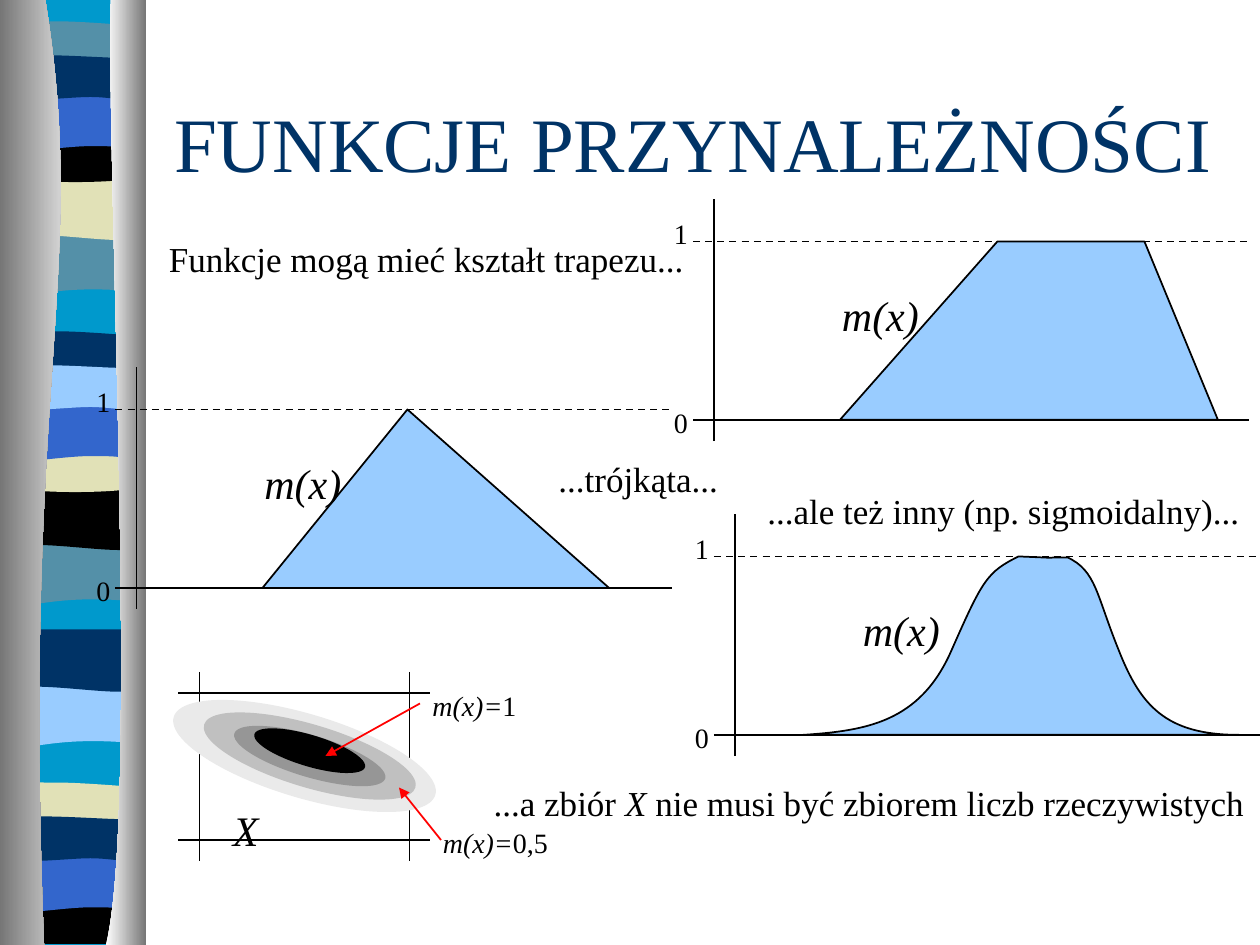
import pptx
import pptx.util
import pptx.dml.color
import pptx.enum.dml
import pptx.enum.shapes
import pptx.enum.text
import pptx.oxml
import pptx.oxml.ns

COLUMNS, ROWS = 60, 45
FONT = "Times New Roman"
COLOURS = {
    "black": "000000", "white": "FFFFFF", "navy": "003366", "blue": "3366CC",
    "sky": "99CCFF", "cyan": "0099CC", "teal": "5490A8", "sand": "E1E1B7",
    "red": "FF0000", "shade": "767676",
    "outer": "EAEAEA", "middle": "C0C0C0", "inner": "969696",
}
EDGE = 6.48
TIDE = [(EDGE, 0), (EDGE, 2.82), (1.98, 2.34, 1.08, 3.3, 0, 2.82), (0, 0)]
SWELL = [(EDGE, 0), (EDGE, 2.82), (5.4, 3.3, 1.98, 2.46, 0, 2.82), (0, 0)]
PLATE = [(EDGE, 0.3), (EDGE, 1.74), (5.4, 1.98, 1.08, 1.98, 0, 1.74), (0, 0.3),
         (0.36, 0, 1.38, 0.06, 2.46, 0.06), (3.54, 0.06, 5.64, 0.24, EDGE, 0.3)]
CAP = [(EDGE, 0), (EDGE, 1.92), (5.4, 2.28, 1.08, 2.28, 0, 1.92), (0, 0),
       (3.96, 0.3, 5.1, 0, EDGE, 0)]
FOOT = [(EDGE, 0), (EDGE, 2.22), (0, 2.22), (0, 0), (3.96, 0.3, 5.1, 0, EDGE, 0)]
SLAB = [(EDGE, 0), (EDGE, 2.82), (5.46, 2.52, 5.04, 2.52, 3.96, 2.52),
        (2.88, 2.52, 0.96, 2.82, 0, 2.82), (0, 0)]
STRIP = [(EDGE, 0.3), (EDGE, 2.16), (6.06, 2.46, 5.04, 2.16, 3.96, 2.16),
         (2.88, 2.16, 0.66, 2.46, 0, 2.16), (0, 0.3),
         (0.9, 0, 4.38, 0.3, 5.46, 0.3), (6.54, 0.3, 6.3, 0.3, EDGE, 0.3)]
WAVES = [(TIDE, 11.1), (SWELL, 8.46)]
STONES = [(PLATE, 0.96), (CAP, 6.48), (SLAB, 4.44), (STRIP, 2.46)]
LAST_STONES = [(PLATE, 0.96), (FOOT, 6.48), (SLAB, 4.44), (STRIP, 2.46)]
BLOCKS = [
    (0, WAVES, ("teal", "sand")),
    (0, STONES, ("teal", "black", "blue", "navy")),
    (14.76, WAVES, ("teal", "black")),
    (14.76, STONES, ("navy", "sand", "blue", "sky")),
    (21.51, WAVES, ("sky", "navy")),
    (36.25, LAST_STONES, ("sand", "black", "blue", "navy")),
]
TRAPEZOID = [(7, 0), (14.5, 8.5), (21.5, 8.5), (25, 0)]
TRIANGLE = [(7, 0), (13.9, 8.5), (23.5, 0)]
SIGMOID = [
    (4.25, 0), (7.25, 0.2, 9.8, 0.6, 11.3, 4), (12.8, 7.4, 13, 7.75, 14.5, 8.5),
    (16.95, 8.4, 15.2, 8.45, 16.85, 8.45), (18.2, 7.8, 18.2, 6.7, 19.25, 4.1),
    (20.3, 1.4, 21.5, 0, 25, 0),
]

deck = pptx.Presentation()
deck.slide_width = pptx.util.Inches(10)
deck.slide_height = pptx.util.Inches(7.5)
slide = deck.slides.add_slide(deck.slide_layouts[6])


def cells(*counts):
    return [round(count * deck.slide_width / COLUMNS) for count in counts]


def colour(name):
    return pptx.dml.color.RGBColor.from_string(COLOURS[name])


def paint(area, fill, line=None):
    area.shadow.inherit = False
    area.fill.solid()
    area.fill.fore_color.rgb = colour(fill)
    if line:
        area.line.color.rgb = colour(line)
        area.line.width = pptx.util.Pt(1)
    else:
        area.line.fill.background()


def bend(area, path):
    segments = iter(area._element.findall(".//" + pptx.oxml.ns.qn("a:lnTo")))
    for step in path[1:]:
        first = next(segments)
        if len(step) == 6:
            curve = pptx.oxml.parse_xml(
                "<a:cubicBezTo %s/>" % pptx.oxml.ns.nsdecls("a"))
            first.addprevious(curve)
            for segment in (first, next(segments), next(segments)):
                curve.append(segment[0])
                segment.getparent().remove(segment)


def outline(path, left, top, fill, line=None, flip=1):
    points = [tuple(cells(left + step[i], top + flip * step[i + 1]))
              for step in path for i in range(0, len(step), 2)]
    builder = slide.shapes.build_freeform(*points[0], scale=1.0)
    builder.add_line_segments(points[1:], close=True)
    area = builder.convert_to_shape()
    bend(area, path)
    paint(area, fill, line)
    return area


def stroke(x1, y1, x2, y2, name="black", dashed=False, arrow=False):
    line = slide.shapes.add_connector(
        pptx.enum.shapes.MSO_CONNECTOR.STRAIGHT, *cells(x1, y1, x2, y2))
    line.line.color.rgb = colour(name)
    line.line.width = pptx.util.Pt(1)
    if dashed:
        line.line.dash_style = pptx.enum.dml.MSO_LINE.DASH
    if arrow:
        line.line._get_or_add_ln().append(pptx.oxml.parse_xml(
            '<a:tailEnd %s type="triangle"/>' % pptx.oxml.ns.nsdecls("a")))
    line._element.spPr.append(pptx.oxml.parse_xml(
        "<a:effectLst %s/>" % pptx.oxml.ns.nsdecls("a")))


def write(left, top, width, height, parts, size, name="black", wrap=False):
    label = slide.shapes.add_textbox(*cells(left, top, width, height))
    frame = label.text_frame
    frame.word_wrap = wrap
    if not wrap:
        frame.auto_size = pptx.enum.text.MSO_AUTO_SIZE.SHAPE_TO_FIT_TEXT
    for words, italic in parts:
        run = frame.paragraphs[0].add_run()
        run.text = words
        run.font.name = FONT
        run.font.size = pptx.util.Pt(size)
        run.font.italic = italic
        run.font.color.rgb = colour(name)
    return frame


def polish(panel, first, last):
    panel.fill.gradient()
    panel.fill.gradient_angle = 0
    for stop, name in zip(panel.fill.gradient_stops, (first, last)):
        stop.color.rgb = colour(name)


def draw_ribbon(left, top, width, height):
    inset = left + 0.05 * width
    outline([(EDGE, 0), (EDGE, height), (0, height), (0, 0)], inset, top, "cyan")
    for offset, motif, names in BLOCKS:
        for (path, row), name in zip(motif, names):
            outline(path, inset, top + offset + row, name)
    left_panel = outline([(2.16, 0), (4.26, 13, 1.02, 17.8, 2.1, height),
                          (0, height), (0, 0)], left, top, "shade")
    polish(left_panel, "shade", "white")
    right_panel = outline([(5.28, 0), (5.04, 7.5, 6.66, 38.8, 5.04, height),
                           (width, height), (width, 0)], left, top, "white")
    polish(right_panel, "white", "shade")


def draw_membership(left, base, width, height, curve):
    stroke(left, base, left + width, base)
    stroke(left + 1, base + 1, left + 1, base - height - 2)
    stroke(left, base - height, left + width, base - height, dashed=True)
    outline(curve, left, base, "sky", "black", flip=-1)
    for level, top in (("1", base - height - 1.5), ("0", base - 1)):
        write(left - 1.5, top, 1.86, 2.2, [(level, False)], 16)
    write(left + 6.5, base - 6.5, 4.86, 3, [("m(x)", True)], 24)


def draw_fuzzy_set(left, top, width, height):
    backdrop = slide.shapes.add_shape(
        pptx.enum.shapes.MSO_SHAPE.RECTANGLE, *cells(left, top, width, height))
    paint(backdrop, "white")
    for x in (left + 2, left + 12):
        stroke(x, top + 0.5, x, top + height - 0.5)
    for y in (top + 1.5, top + height - 1.5):
        stroke(left + 1, y, left + width - 1, y)
    for x, y, across, down, name in (
            (0.5, 2.5, 13, 4, "outer"), (2, 3, 10.5, 3, "middle"),
            (3.5, 3.5, 7.5, 2, "inner"), (4.5, 3.5, 5.5, 1.5, "black")):
        ring = slide.shapes.add_shape(
            pptx.enum.shapes.MSO_SHAPE.OVAL, *cells(left + x, top + y, across, down))
        paint(ring, name)
        ring.rotation = 16.6
    for x, y, across, grade, arrow in (
            (12.5, 1, 5.2, "1", (12.5, 2, 8, 4.5)),
            (13, 7.5, 6.2, "0,5", (13.5, 8.5, 11.5, 6))):
        write(left + x, top + y, across, 2.2, [("m(x)=", True), (grade, False)], 16)
        x1, y1, x2, y2 = arrow
        stroke(left + x1, top + y1, left + x2, top + y2, "red", arrow=True)
    write(left + 3, top + 6.5, 2.4, 3, [("X", True)], 24)


def write_captions(height):
    for left, top, width, parts in (
            (7.45, 11, 25.75, [("Funkcje mogą mieć kształt trapezu...", False)]),
            (26, 21.5, 8.8, [("...trójkąta...", False)]),
            (35.95, 23, 23.7, [("...ale też inny (np. sigmoidalny)...", False)]),
            (22.92, 36.9, 36.95, [("...a zbiór ", False), ("X", True),
                                  (" nie musi być zbiorem liczb rzeczywistych", False)])):
        write(left, top, width, height, parts, 20)


def write_title(left, top, width, height):
    frame = write(left, top, width, height, [("FUNKCJE PRZYNALEŻNOŚCI", False)],
                  44, "navy", wrap=True)
    frame.vertical_anchor = pptx.enum.text.MSO_ANCHOR.MIDDLE


draw_ribbon(0, 0, 6.96, ROWS)
draw_membership(33, 20, 26.5, 8.5, TRAPEZOID)
draw_membership(5.5, 28, 26.5, 8.5, TRIANGLE)
draw_membership(34, 35, 26.5, 8.5, SIGMOID)
write_captions(2.65)
draw_fuzzy_set(7.5, 31.5, 14, 10)
write_title(7.7, 3, 51, 7.5)
deck.save("out.pptx")
